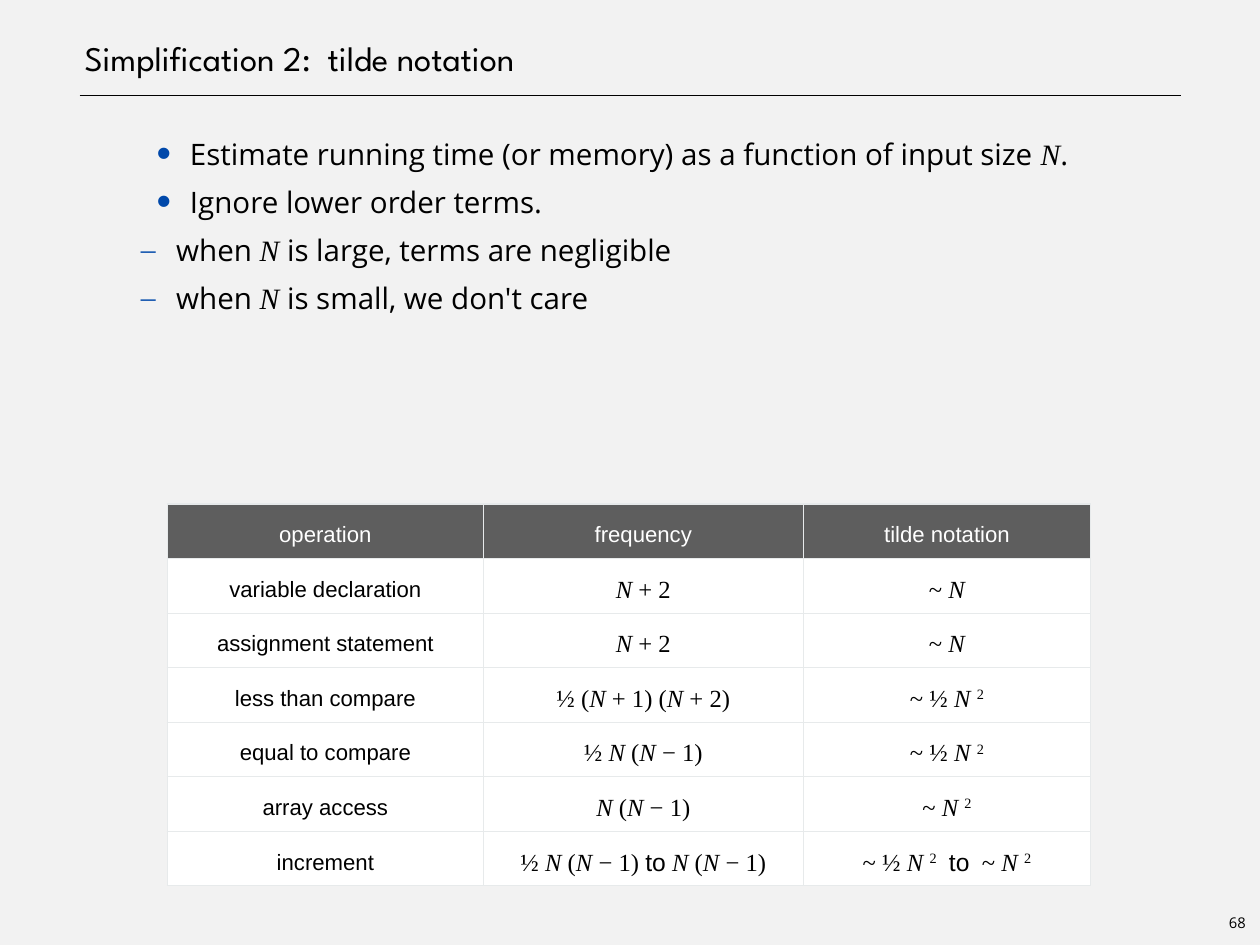
import itertools

import lxml.etree
import pptx
import pptx.dml.color
import pptx.enum.shapes
import pptx.enum.text
import pptx.oxml.ns
import pptx.util

EMU_PER_PX = 10160  # 90 px to the inch
COLORS = {
    "background": "F2F2F2",
    "ink": "000000",
    "bullet": "0048AA",
    "header": "5E5E5E",
    "cell": "FFFFFF",
    "border": "E7EAEB",
}
BODY_FONT, MATH_FONT, LABEL_FONT = "Open Sans", "Times New Roman", "Arial"

# mark, its font, its size in percent, text indent and hanging indent in px
DOT = ("•", LABEL_FONT, 140, 113, -34)
DASH = ("–", MATH_FONT, 100, 99, -36)
POINTS = [
    (DOT, "Estimate running time (or memory) as a function of input size N."),
    (DOT, "Ignore lower order terms."),
    (DASH, "when N is large, terms are negligible"),
    (DASH, "when N is small, we don't care"),
]
COLUMN_WIDTHS = [321, 325, 292]
HEADINGS = ["operation", "frequency", "tilde notation"]
OPERATIONS = [
    ("variable declaration", "N + 2", "~ N"),
    ("assignment statement", "N + 2", "~ N"),
    ("less than compare", "½ (N + 1) (N + 2)", "~ ½ N ²"),
    ("equal to compare", "½ N (N − 1)", "~ ½ N ²"),
    ("array access", "N (N − 1)", "~ N ²"),
    ("increment", "½ N (N − 1) to N (N − 1)", "~ ½ N ²  to  ~ N ²"),
]


def px(length):
    return pptx.util.Emu(length * EMU_PER_PX)


def rgb(name):
    return pptx.dml.color.RGBColor.from_string(COLORS[name])


def add_xml(parent, tag, **attributes):
    element = lxml.etree.SubElement(parent, pptx.oxml.ns.qn(tag))
    for key, value in attributes.items():
        element.set(key, str(value))
    return element


def style_font(font, face, size, color="ink"):
    font.name = face
    font.size = pptx.util.Pt(size)
    font.color.rgb = rgb(color)


def set_margins(holder, margin):
    holder.margin_left = holder.margin_right = px(margin)
    holder.margin_top = holder.margin_bottom = px(margin)


def symbol_kind(char):
    if char in "N²":
        return char
    return "word" if char.isalpha() else "plain"


def write_formula(paragraph, text, size, plain_font, word_font):
    """Set N in italics, ² as a raised 2, and words in their own font."""
    for kind, chars in itertools.groupby(text, symbol_kind):
        run = paragraph.add_run()
        run.text = "2" if kind == "²" else "".join(chars)
        face = {"plain": plain_font, "word": word_font}.get(kind, MATH_FONT)
        style_font(run.font, face, size)
        if kind == "N":
            run.font.italic = True
        elif kind == "²":
            run.font._element.set("baseline", "32000")


def add_title(slide, text):
    title = slide.shapes.title
    title.left, title.top, title.width, title.height = px(80), px(0), px(1120), px(80)
    frame = title.text_frame
    frame.text = text
    frame.auto_size = pptx.enum.text.MSO_AUTO_SIZE.NONE
    frame.vertical_anchor = pptx.enum.text.MSO_ANCHOR.BOTTOM
    set_margins(frame, 0)
    paragraph = frame.paragraphs[0]
    paragraph._p.get_or_add_pPr().set("marL", str(px(6)))
    paragraph.alignment = pptx.enum.text.PP_ALIGN.LEFT
    style_font(paragraph.runs[0].font, "League Spartan", 28)


def add_rule(slide, left, right, y):
    rule = slide.shapes.add_connector(
        pptx.enum.shapes.MSO_CONNECTOR.STRAIGHT, px(left), px(y), px(right), px(y))
    rule.line.color.rgb = rgb("ink")
    rule.line.width = pptx.util.Pt(1)
    add_xml(rule._element.spPr, "a:effectLst")


def add_bullet(paragraph, mark, face, percent, indent, hanging):
    properties = paragraph._p.get_or_add_pPr()
    properties.set("marL", str(px(indent)))
    properties.set("indent", str(px(hanging)))
    mark_color = add_xml(properties, "a:buClr")
    add_xml(mark_color, "a:srgbClr", val=COLORS["bullet"])
    add_xml(properties, "a:buSzPct", val=percent * 1000)
    add_xml(properties, "a:buFont", typeface=face)
    add_xml(properties, "a:buChar", char=mark)


def add_points(slide):
    frame = slide.shapes.add_textbox(px(80), px(125), px(1120), px(800)).text_frame
    frame.word_wrap = True
    set_margins(frame, 0)
    for index, (bullet, text) in enumerate(POINTS):
        paragraph = frame.add_paragraph() if index else frame.paragraphs[0]
        add_bullet(paragraph, *bullet)
        paragraph.line_spacing = pptx.util.Pt(39)
        write_formula(paragraph, text, 24, BODY_FONT, BODY_FONT)


def style_cell(cell, fill):
    """Give the cell its borders and fill, and return its paragraph."""
    properties = cell._tc.get_or_add_tcPr()
    for side in ("a:lnL", "a:lnR", "a:lnT", "a:lnB"):
        border = add_xml(properties, side, w=pptx.util.Pt(1))
        add_xml(add_xml(border, "a:solidFill"), "a:srgbClr", val=COLORS["border"])
    cell.fill.solid()
    cell.fill.fore_color.rgb = rgb(fill)
    cell.vertical_anchor = pptx.enum.text.MSO_ANCHOR.MIDDLE
    set_margins(cell, 5)
    paragraph = cell.text_frame.paragraphs[0]
    paragraph.alignment = pptx.enum.text.PP_ALIGN.CENTER
    paragraph.line_spacing = 1.3
    return paragraph


def write_label(paragraph, text, color):
    paragraph.text = text
    style_font(paragraph.runs[0].font, LABEL_FONT, 18, color)


def add_operations_table(slide):
    table = slide.shapes.add_table(
        len(OPERATIONS) + 1, len(HEADINGS),
        px(170), px(512), px(sum(COLUMN_WIDTHS)), px(388)).table
    table.first_row = table.horz_banding = False
    for column, width in zip(table.columns, COLUMN_WIDTHS):
        column.width = px(width)
    for column, heading in enumerate(HEADINGS):
        write_label(style_cell(table.cell(0, column), "header"), heading, "cell")
    for row, (operation, *formulas) in enumerate(OPERATIONS, start=1):
        write_label(style_cell(table.cell(row, 0), "cell"), operation, "ink")
        for column, formula in enumerate(formulas, start=1):
            paragraph = style_cell(table.cell(row, column), "cell")
            write_formula(paragraph, formula, 20, MATH_FONT, LABEL_FONT)


def add_page_number(slide, number):
    frame = slide.shapes.add_textbox(px(1243), px(923), px(28), px(28)).text_frame
    frame.text = number
    frame.word_wrap = False
    frame.vertical_anchor = pptx.enum.text.MSO_ANCHOR.MIDDLE
    set_margins(frame, 5)
    paragraph = frame.paragraphs[0]
    paragraph.alignment = pptx.enum.text.PP_ALIGN.CENTER
    style_font(paragraph.runs[0].font, BODY_FONT, 12)


def main():
    presentation = pptx.Presentation()
    presentation.slide_width, presentation.slide_height = px(1280), px(960)
    slide = presentation.slides.add_slide(presentation.slide_layouts[5])
    slide.background.fill.solid()
    slide.background.fill.fore_color.rgb = rgb("background")
    add_rule(slide, 81, 1200, 97)
    add_title(slide, "Simplification 2:  tilde notation")
    add_points(slide)
    add_page_number(slide, "68")
    add_operations_table(slide)
    presentation.save("out.pptx")


if __name__ == "__main__":
    main()
